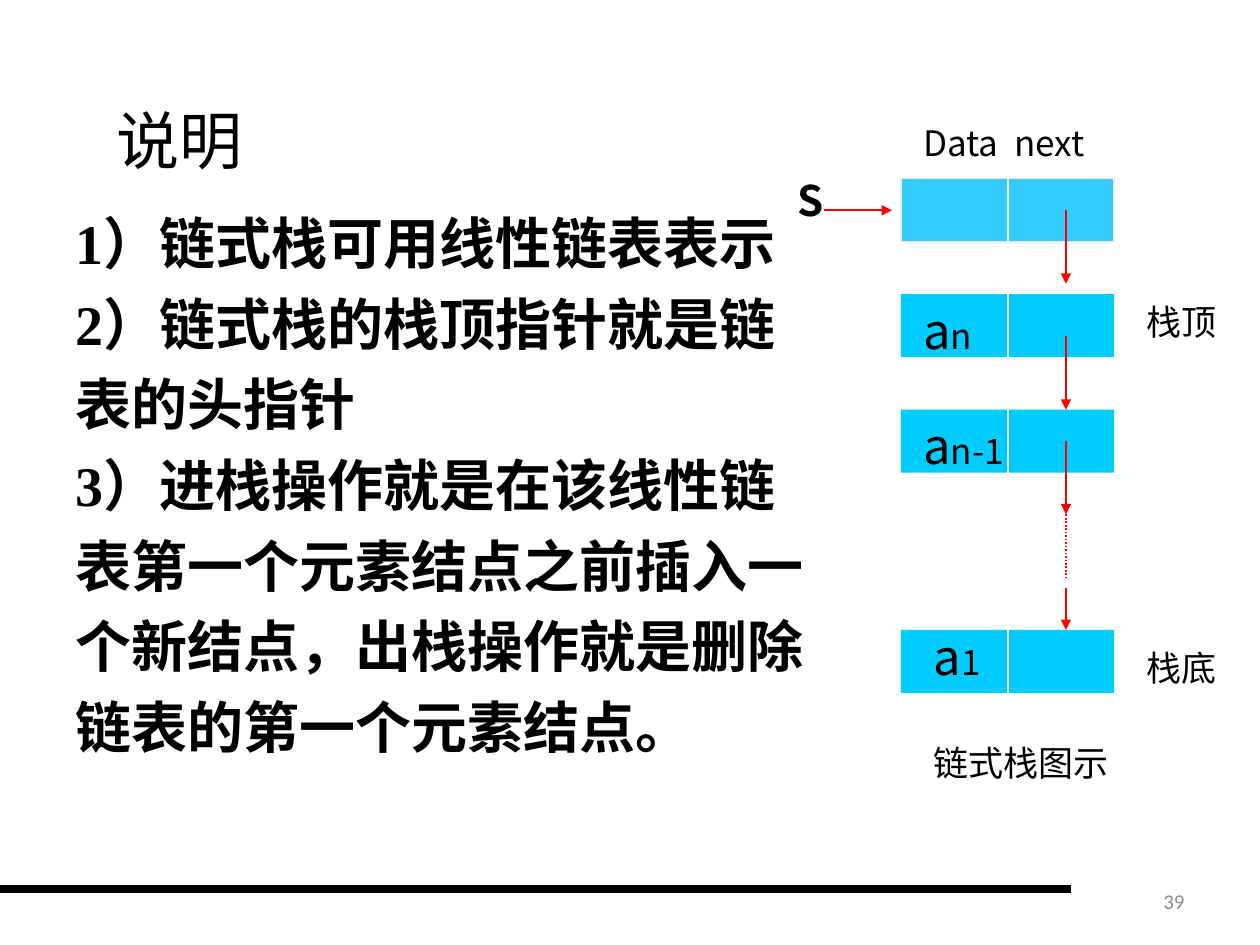
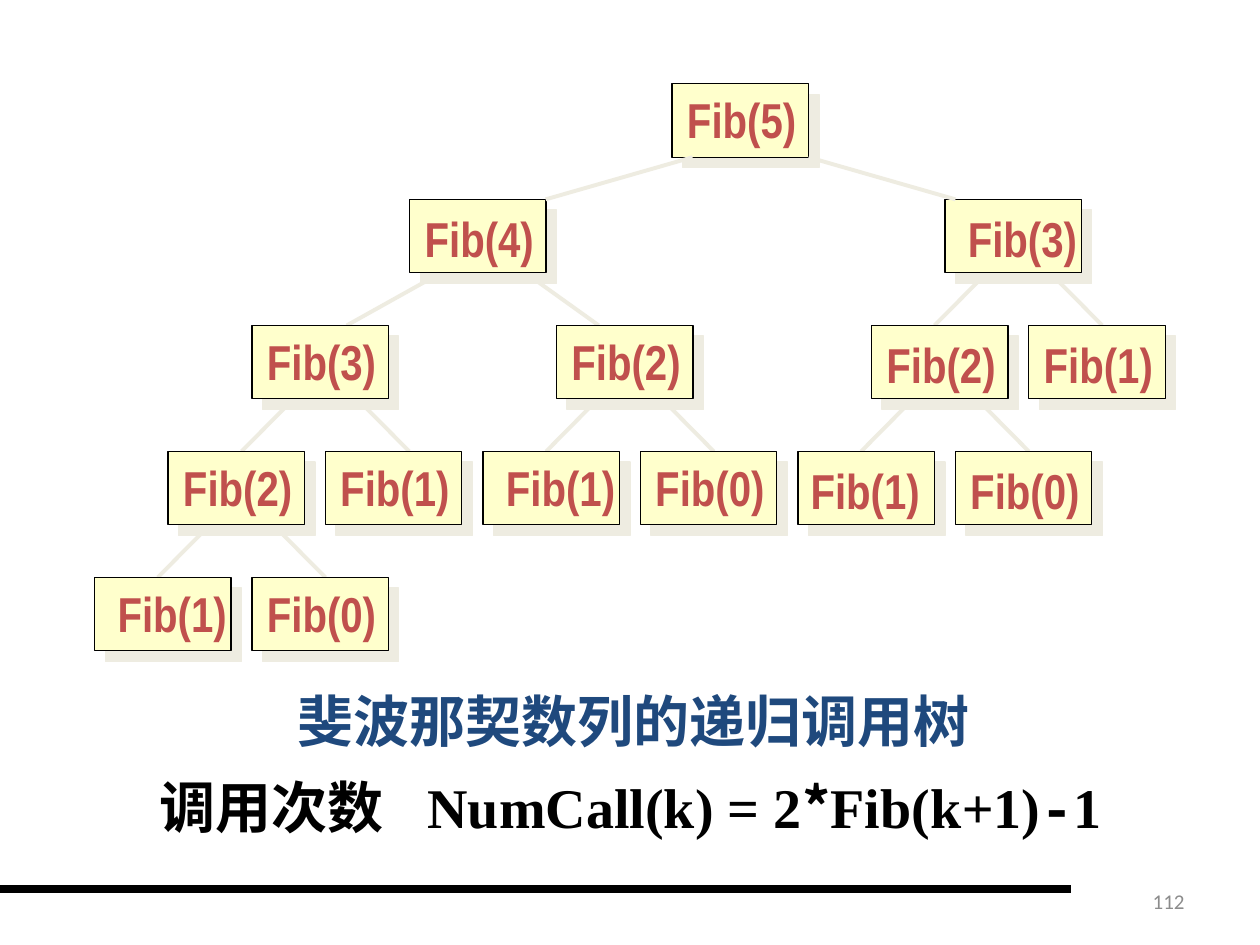
from lxml.etree import SubElement
from pptx import Presentation
from pptx.dml.color import RGBColor
from pptx.enum.dml import MSO_LINE
from pptx.enum.shapes import MSO_CONNECTOR, MSO_SHAPE
from pptx.enum.text import MSO_ANCHOR as ANCHOR, PP_ALIGN as ALIGN
from pptx.oxml.ns import qn
from pptx.util import Cm, Pt

BLACK = RGBColor(0x00, 0x00, 0x00)
WHITE = RGBColor(0xFF, 0xFF, 0xFF)
GREY = RGBColor(0x8C, 0x8C, 0x8C)
RED = RGBColor(0xFF, 0x00, 0x00)
BRICK = RGBColor(0xC0, 0x50, 0x4D)
NAVY = RGBColor(0x1F, 0x49, 0x7D)
CYAN = RGBColor(0x00, 0xCC, 0xFF)
SKY = RGBColor(0x33, 0xCC, 0xFF)
CREAM = RGBColor(0xFF, 0xFF, 0xCC)
SAND = RGBColor(0xEE, 0xEC, 0xE1)

SERIF, SANS, NARROW = "Times New Roman", "Noto Sans CJK SC", "Arial Narrow"

# Linked stack: explanation, captions and nodes (lengths in cm)
NOTES = [
    "1）链式栈可用线性链表表示",
    "2）链式栈的栈顶指针就是链表的头指针",
    "3）进栈操作就是在该线性链表第一个元素结点之前插入一个新结点，"
    "出栈操作就是删除链表的第一个元素结点。",
]
CAPTIONS = [  # text, left, top, width
    ("链式栈图示", 18.57, 14.82, 6.07),
    ("Data\tnext", 18.36, 2.33, 5.46),
    ("栈顶", 22.86, 5.93, 2.54),
    ("栈底", 22.86, 12.91, 2.54),
]
NODE_LEFT, NODE_MID, NODE_W, NODE_H = 18.16, 20.32, 4.3, 1.27
HEAD_TOP = 3.6
ELEMENTS = [  # subscript, node top, label left, label top
    ("n", 5.93, 18.36, 5.93),
    ("n-1", 8.26, 18.36, 8.26),
    ("1", 12.7, 18.57, 12.5),
]
LINK_X = 21.49
LINKS = [(4.24, 5.72), (6.78, 8.26), (8.9, 10.37), (11.85, 12.7)]
OMITTED = (10.37, 11.64)

# Recursion tree
LEVEL_TOPS = [1.69] + [4.02 + 2.54 * i for i in range(4)]
CALL_W, CALL_H = 2.75, 1.48
CALLS = [  # k, level, left, label shift right, label shift down
    (5, 0, 13.55, 0.05, 0),
    (4, 1, 8.26, 0.05, 0.05),
    (3, 1, 19.05, 0.21, 0.05),
    (3, 2, 5.08, 0.05, 0),
    (2, 2, 11.22, 0.05, 0),
    (2, 2, 17.57, 0.05, 0.05),
    (1, 2, 20.74, 0.05, 0.05),
    (2, 3, 3.39, 0.05, 0),
    (1, 3, 6.56, 0.05, 0),
    (1, 3, 9.74, 0.21, 0),
    (0, 3, 12.91, 0.05, 0),
    (1, 3, 16.09, 0, 0.05),
    (0, 3, 19.26, 0.05, 0.05),
    (1, 4, 1.91, 0.21, 0),
    (0, 4, 5.08, 0.05, 0),
]
ROOT_FORK = (0, 15.13, 1.17, 4.13, 4.13)
FORKS = [  # level, centre, half gap at top, reach left, reach right
    (1, 9.74, 0.85, 2.75, 2.33),
    *((level, centre, 0.64, 1.69, 1.69) for level, centre in
      [(1, 20.53), (2, 6.56), (2, 12.7), (2, 19.05), (3, 4.87)]),
]
FORMULA = [  # text, font, italic
    ("调用次数\tNumCall(k) = 2", SERIF, False),
    ("*", SANS, False),
    ("Fib(k", SERIF, False),
    ("+", SERIF, True),
    ("1)", SERIF, False),
    ("-", "Courier New", False),
    ("1", SERIF, False),
]


def add_text(slide, box, paras, size, font=SANS, color=BLACK, bold=False,
             align=None, anchor=ANCHOR.TOP, spacing=None, wrap=True, tab=None):
    """Each paragraph is a list of (text, run settings) pairs."""
    tf = slide.shapes.add_textbox(*map(Cm, box)).text_frame
    tf.word_wrap = wrap
    tf.vertical_anchor = anchor
    for i, runs in enumerate(paras):
        p = tf.add_paragraph() if i else tf.paragraphs[0]
        p.alignment = align
        if spacing:
            p.line_spacing = spacing
        if tab:
            tabs = SubElement(p._p.get_or_add_pPr(), qn("a:tabLst"))
            SubElement(tabs, qn("a:tab"), pos=str(Cm(tab)), algn="l")
        p.font.size, p.font.bold, p.font.name = Pt(size), bold, font
        p.font.color.rgb = color
        SubElement(p.font._rPr, qn("a:ea"), typeface=SANS)
        for text, settings in runs:
            r = p.add_run()
            r.text = text
            for name, value in settings.items():
                setattr(r.font, name, value)


def add_label(slide, box, text, size, **style):
    add_text(slide, box, [[(text, {})]], size, **style)


def add_line(slide, x1, y1, x2, y2, color, width, arrow=False, dash=None):
    s = slide.shapes.add_connector(MSO_CONNECTOR.STRAIGHT, *map(Cm, (x1, y1, x2, y2)))
    s.line.color.rgb, s.line.width = color, Pt(width)
    if dash:
        s.line.dash_style = dash
    if arrow:
        SubElement(s.line._get_or_add_ln(), qn("a:tailEnd"), type="triangle")
    SubElement(s._element.spPr, qn("a:effectLst"))


def add_rect(slide, box, fill, line=None, width=1):
    s = slide.shapes.add_shape(MSO_SHAPE.RECTANGLE, *map(Cm, box))
    s.shadow.inherit = False
    s.fill.solid()
    s.fill.fore_color.rgb = fill
    if line is None:
        s.line.fill.background()
    else:
        s.line.color.rgb, s.line.width = line, Pt(width)
    return s


def add_hard_shadow(s):
    effects = s._element.spPr.find(qn("a:effectLst"))
    shadow = SubElement(effects, qn("a:outerShdw"), dist=str(Pt(8.5)),
                        dir=str(45 * 60000), algn="ctr", rotWithShape="0")
    SubElement(shadow, qn("a:srgbClr"), val=str(SAND))


def new_slide(prs, number):
    """Blank slide with the footer rule and page number."""
    slide = prs.slides.add_slide(prs.slide_layouts[6])
    add_line(slide, 0, 17.93, 21.59, 17.93, BLACK, 4.5)
    add_label(slide, (18.21, 17.65, 5.92, 1.02), number, 12, font="Calibri",
              color=GREY, align=ALIGN.RIGHT, anchor=ANCHOR.MIDDLE)
    return slide


def add_node(slide, top, fill, edge, outline=None):
    add_rect(slide, (NODE_LEFT, top, NODE_W, NODE_H), fill, outline)
    add_line(slide, NODE_MID, top, NODE_MID, top + NODE_H, edge, 1)


def build_stack(prs):
    slide = new_slide(prs, "39")
    add_label(slide, (1.47, 1.91, 4.29, 1.78), "说明", 36, font=SERIF,
              align=ALIGN.CENTER, anchor=ANCHOR.MIDDLE)
    add_text(slide, (1.27, 3.81, 15.44, 11.61), [[(note, {})] for note in NOTES],
             32, font=SERIF, bold=True, spacing=1.2)

    # Captions
    for text, left, top, width in CAPTIONS:
        add_label(slide, (left, top, width, 1.09), text, 20,
                  tab=1.84 if "\t" in text else None)
    add_label(slide, (15.82, 3.39, 1.75, 1.27), "S", 24, bold=True)

    # Nodes
    add_node(slide, HEAD_TOP, SKY, SAND, SAND)
    for subscript, top, left, label_top in ELEMENTS:
        add_node(slide, top, CYAN, WHITE)
        add_text(slide, (left, label_top, 2.16, 1.45),
                 [[("a", {}), (subscript, {"size": Pt(20)})]], 28)

    # Pointers
    add_line(slide, 16.61, 4.24, 17.98, 4.24, RED, 1, arrow=True)
    for start, end in LINKS:
        add_line(slide, LINK_X, start, LINK_X, end, RED, 1, arrow=True)
    add_line(slide, LINK_X, OMITTED[0], LINK_X, OMITTED[1], RED, 1,
             dash=MSO_LINE.ROUND_DOT)


def add_fork(slide, level, centre, near, left, right):
    top, bottom = LEVEL_TOPS[level] + CALL_H, LEVEL_TOPS[level + 1]
    add_line(slide, centre - near, top, centre - left, bottom, SAND, 2.25)
    add_line(slide, centre + near, top, centre + right, bottom, SAND, 2.25)


def build_tree(prs):
    slide = new_slide(prs, "112")

    # Branches and calls
    for fork in FORKS:
        add_fork(slide, *fork)
    for k, level, left, dx, dy in CALLS:
        add_hard_shadow(add_rect(slide, (left, LEVEL_TOPS[level], CALL_W, CALL_H),
                                 CREAM, BLACK, 0.75))
    add_fork(slide, *ROOT_FORK)
    for k, level, left, dx, dy in CALLS:
        add_label(slide, (left + dx, LEVEL_TOPS[level] + dy, 2.72, 1.45), f"Fib({k})",
                  28, font=NARROW, color=BRICK, bold=True, wrap=False)

    # Caption and call count
    add_label(slide, (3.25, 13.72, 19.05, 1.6), "斐波那契数列的递归调用树", 32,
              color=NAVY, bold=True, align=ALIGN.CENTER)
    runs = [(text, {"name": font, "italic": italic}) for text, font, italic in FORMULA]
    add_text(slide, (2.97, 15.45, 20.93, 1.78), [runs], 32, font=SERIF,
             bold=True, tab=5.4)


def main():
    prs = Presentation()
    prs.slide_width, prs.slide_height = Cm(25.4), Cm(19.05)
    build_stack(prs)
    build_tree(prs)
    prs.save("out.pptx")


if __name__ == "__main__":
    main()
